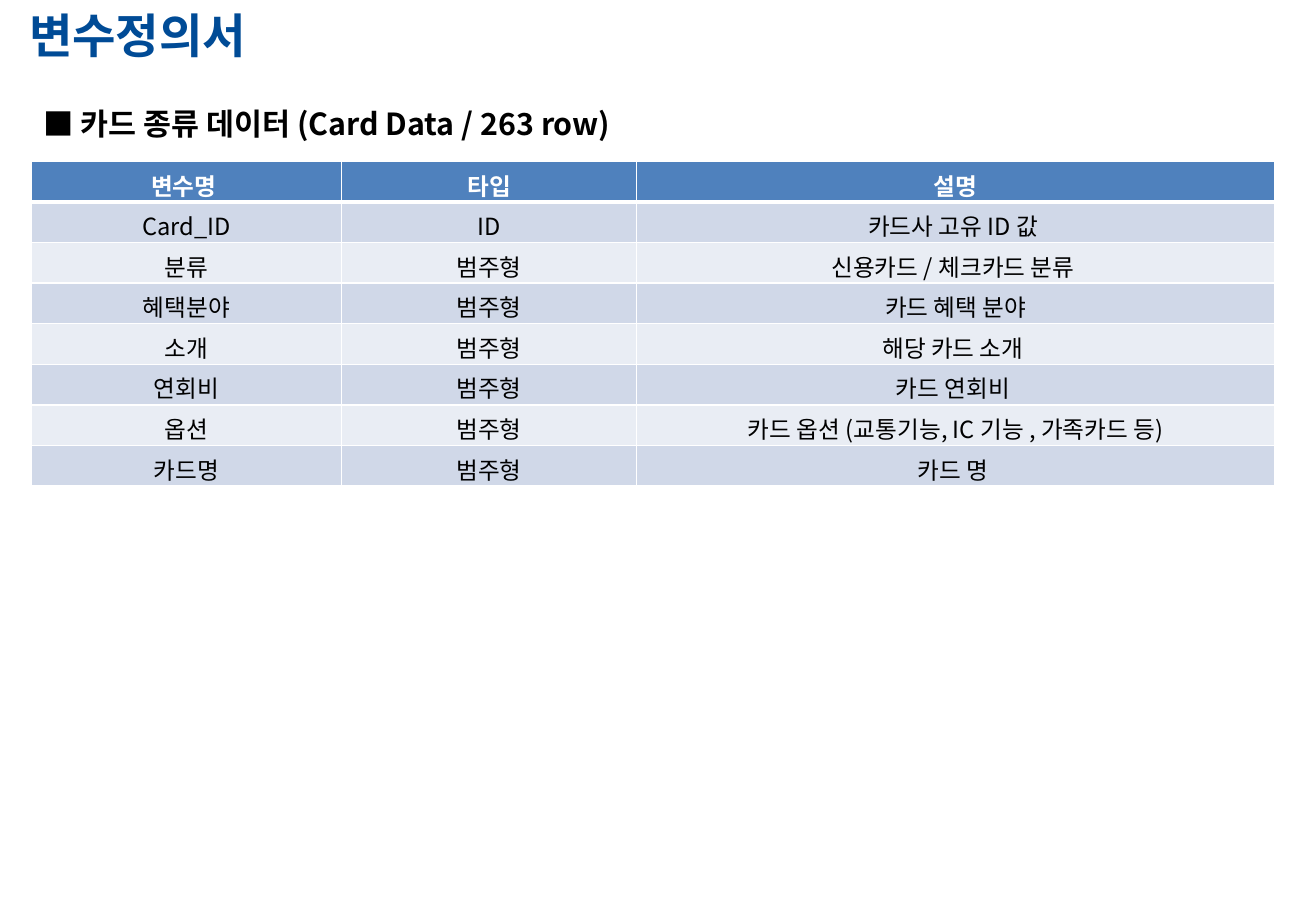
from dataclasses import dataclass

from lxml import etree
from pptx import Presentation
from pptx.dml.color import RGBColor
from pptx.enum.text import MSO_ANCHOR, PP_ALIGN
from pptx.oxml.ns import qn
from pptx.table import _Cell
from pptx.text.text import TextFrame
from pptx.util import Inches, Pt

FONT = "Noto Sans CJK KR"
NAVY = RGBColor(0x00, 0x4B, 0x96)
BLUE = RGBColor(0x4F, 0x81, 0xBD)
BAND = RGBColor(0xD0, 0xD8, 0xE8)
PALE = RGBColor(0xE9, 0xED, 0xF4)
WHITE = RGBColor(0xFF, 0xFF, 0xFF)
BLACK = RGBColor(0x00, 0x00, 0x00)
LEFT, CENTER = PP_ALIGN.LEFT, PP_ALIGN.CENTER
TOP = MSO_ANCHOR.TOP


@dataclass
class Field:
    name: str
    kind: str
    note: str


HEAD = Field("변수명 ", "타입", "설명")
FIELDS = [
    Field("Card_ID", "ID", "카드사 고유 ID 값 "),
    Field("분류", "범주형", "신용카드 / 체크카드 분류 "),
    Field("혜택분야", "범주형", "카드 혜택 분야"),
    Field("소개", "범주형", "해당 카드 소개 "),
    Field("연회비", "범주형", "카드 연회비 "),
    Field("옵션", "범주형", "카드 옵션 (교통기능, IC 기능 , 가족카드 등)"),
    Field("카드명", "범주형", "카드 명 "),
]
WIDTHS = (2.55, 2.43, 5.25)


def write(frame: TextFrame, text: str, *, size: float, color: RGBColor = BLACK,
          bold: bool = False, align: PP_ALIGN = LEFT) -> None:
    """Fill a text frame with one formatted line."""
    frame.word_wrap = True
    line = frame.paragraphs[0]
    line.alignment = align
    run = line.add_run()
    run.text = text
    font = run.font
    font.name, font.size, font.bold = FONT, Pt(size), bold
    font.color.rgb = color
    etree.SubElement(run._r.get_or_add_rPr(), qn("a:ea"), typeface=FONT)


def edge(cell: _Cell, side: str, width: float) -> None:
    """Draw one white cell border; borders come before the fill."""
    line = etree.Element(qn(f"a:{side}"), w=str(Pt(width)))
    fill = etree.SubElement(line, qn("a:solidFill"))
    etree.SubElement(fill, qn("a:srgbClr"), val=str(WHITE))
    props = cell._tc.get_or_add_tcPr()
    props.insert(len(props.findall("*")), line)


def draw_cell(cell: _Cell, text: str, row: int) -> None:
    head = row == 0
    cell.margin_left = cell.margin_right = Inches(0.08)
    cell.margin_top, cell.margin_bottom = Inches(0.05), 0
    cell.vertical_anchor = TOP
    write(cell.text_frame, text, size=14, color=WHITE if head else BLACK,
          bold=head, align=CENTER)
    edge(cell, "lnL", 1)
    edge(cell, "lnR", 1)
    edge(cell, "lnT", 3 if row == 1 else 1)
    edge(cell, "lnB", 3 if head else 1)
    cell.fill.solid()
    cell.fill.fore_color.rgb = BLUE if head else BAND if row % 2 else PALE


def main() -> None:
    deck = Presentation()
    deck.slide_width, deck.slide_height = Inches(10.83), Inches(7.5)
    slide = deck.slides.add_slide(deck.slide_layouts[5])

    # Title
    title = slide.shapes.title
    title.left, title.top = Inches(0.14), Inches(0)
    title.width, title.height = Inches(7.25), Inches(0.66)
    title.text_frame.vertical_anchor = TOP
    write(title.text_frame, "변수정의서", size=28, color=NAVY, bold=True)

    # Field table
    rows = [HEAD, *FIELDS]
    table = slide.shapes.add_table(
        len(rows), len(WIDTHS), Inches(0.26), Inches(1.33),
        Inches(sum(WIDTHS)), Inches(2.67)).table
    for column, width in zip(table.columns, WIDTHS):
        column.width = Inches(width)
    for r, field in enumerate(rows):
        for c, text in enumerate((field.name, field.kind, field.note)):
            draw_cell(table.cell(r, c), text, r)

    # Table heading
    box = slide.shapes.add_textbox(
        Inches(0.26), Inches(0.82), Inches(7.66), Inches(0.46))
    write(box.text_frame, "■ 카드 종류 데이터 (Card Data / 263 row)",
          size=18, bold=True)

    deck.save("out.pptx")


if __name__ == "__main__":
    main()
